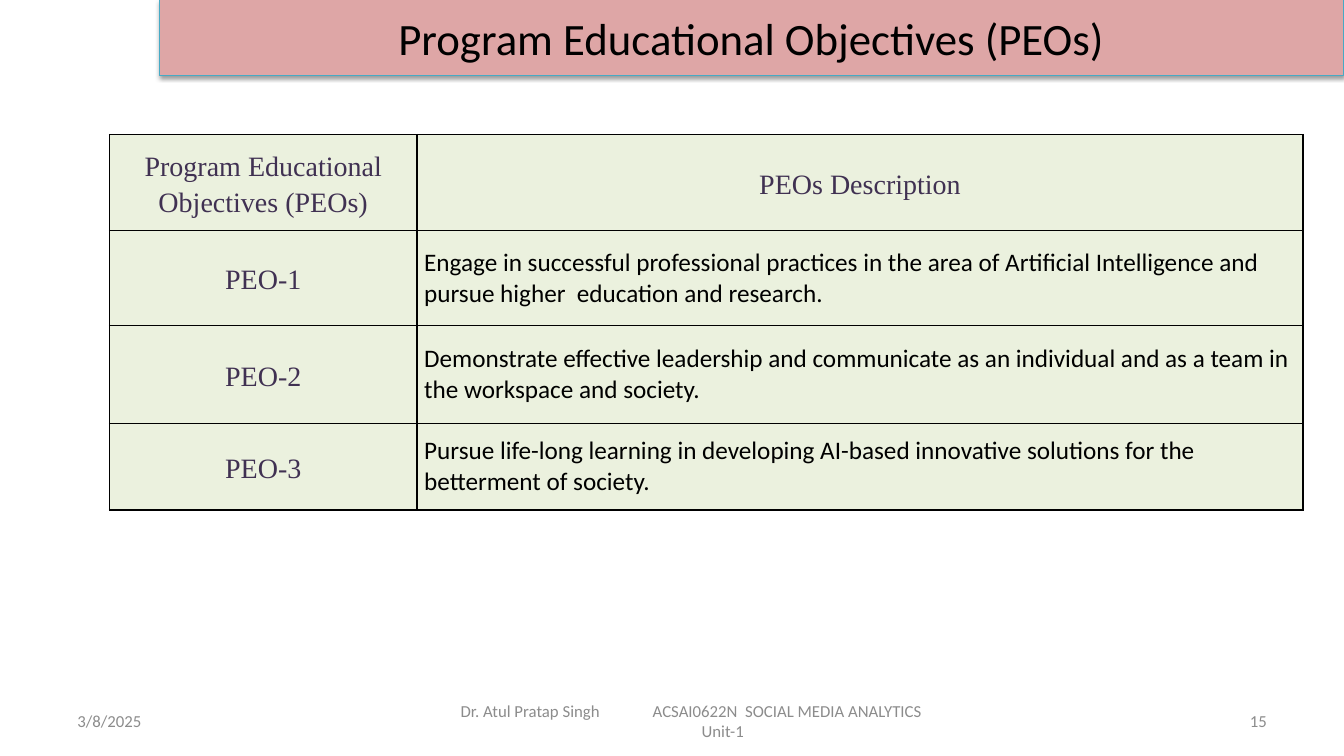
import pptx
import pptx.dml.color
import pptx.enum.shapes
import pptx.enum.text
import pptx.oxml
import pptx.oxml.ns
import pptx.util
from pptx.dml.color import RGBColor
from pptx.util import Cm

BLACK = RGBColor(0x00, 0x00, 0x00)
GREY = RGBColor(0x8C, 0x8C, 0x8C)
PURPLE = RGBColor(0x40, 0x31, 0x52)
ROSE = RGBColor(0xDE, 0xA6, 0xA6)
TEAL = RGBColor(0x46, 0xAA, 0xC5)
PALE_GREEN = RGBColor(0xEB, 0xF1, 0xDE)

ALIGN = pptx.enum.text.PP_ALIGN
MIDDLE = pptx.enum.text.MSO_ANCHOR.MIDDLE
NAMESPACE = pptx.oxml.ns.nsdecls("a")

COLUMN_WIDTHS = (7.75, 22.33)
ROW_HEIGHTS = (2.41, 2.41, 2.46, 2.18)
ROWS = (
    ("Program Educational Objectives (PEOs)", "PEOs Description"),
    ("PEO-1", "Engage in successful professional practices in the area of "
              "Artificial Intelligence and pursue higher  education and research."),
    ("PEO-2", "Demonstrate effective leadership and communicate as an individual "
              "and as a team in the workspace and society."),
    ("PEO-3", "Pursue life-long learning in developing AI-based innovative "
              "solutions for the betterment of society."),
)


def write_text(para, text, size=12, font="Calibri", color=GREY,
               align=ALIGN.LEFT, spacing=None):
    para.alignment = align
    if spacing:
        para.line_spacing = spacing
    span = para.add_run()
    span.text = text
    span.font.size = pptx.util.Pt(size)
    span.font.name = font
    span.font.color.rgb = color


def add_title_bar(page, text):
    bar = page.shapes.add_shape(pptx.enum.shapes.MSO_SHAPE.RECTANGLE,
                                Cm(4.01), Cm(0), Cm(29.85), Cm(1.91))
    bar.fill.solid()
    bar.fill.fore_color.rgb = ROSE
    bar.line.color.rgb = TEAL
    bar.line.width = pptx.util.Pt(0.75)
    # Soft shadow below the bar
    bar.shadow.inherit = False
    effects = bar._element.spPr.find(pptx.oxml.ns.qn("a:effectLst"))
    effects.append(pptx.oxml.parse_xml(
        f'<a:outerShdw {NAMESPACE} blurRad="40000" dist="20000" dir="5400000" '
        'rotWithShape="0"><a:srgbClr val="000000"><a:alpha val="38000"/>'
        '</a:srgbClr></a:outerShdw>'))
    bar.text_frame.vertical_anchor = MIDDLE
    write_text(bar.text_frame.paragraphs[0], text, size=32, color=BLACK,
               align=ALIGN.CENTER)


def add_borders(cell):
    properties = cell._tc.get_or_add_tcPr()
    for side in ("lnL", "lnR", "lnT", "lnB"):
        properties.append(pptx.oxml.parse_xml(
            f'<a:{side} {NAMESPACE} w="12700"><a:solidFill>'
            f'<a:srgbClr val="{BLACK}"/></a:solidFill></a:{side}>'))


def format_cell(cell):
    add_borders(cell)
    cell.fill.solid()
    cell.fill.fore_color.rgb = PALE_GREEN
    cell.vertical_anchor = MIDDLE
    cell.margin_left = cell.margin_right = Cm(0.18)
    cell.margin_top = cell.margin_bottom = Cm(0)


def add_objectives_table(page):
    table = page.shapes.add_table(
        len(ROWS), len(COLUMN_WIDTHS), Cm(2.76), Cm(3.39),
        Cm(sum(COLUMN_WIDTHS)), Cm(sum(ROW_HEIGHTS))).table
    table.first_row = table.horz_banding = False
    for column, width in zip(table.columns, COLUMN_WIDTHS):
        column.width = Cm(width)
    for row, height in zip(table.rows, ROW_HEIGHTS):
        row.height = Cm(height)
    for row_index, texts in enumerate(ROWS):
        for column_index, text in enumerate(texts):
            cell = table.cell(row_index, column_index)
            format_cell(cell)
            para = cell.text_frame.paragraphs[0]
            if row_index == 0 or column_index == 0:
                write_text(para, text, size=20, font="Times New Roman",
                           color=PURPLE, align=ALIGN.CENTER, spacing=1.15)
            else:
                write_text(para, text, size=18, color=BLACK)


def add_footer_box(page, left, width, inset=0.25):
    box = page.shapes.add_textbox(Cm(left), Cm(17.65), Cm(width), Cm(1.02))
    frame = box.text_frame
    frame.word_wrap = True
    frame.vertical_anchor = MIDDLE
    frame.margin_left = frame.margin_right = Cm(inset)
    return frame


def add_footer(page):
    date = add_footer_box(page, 1.7, 7.9)
    write_text(date.paragraphs[0], "3/8/2025")

    # Lecturer and course on one line, set apart by a tab stop
    course = add_footer_box(page, 11.23, 13.97, inset=0.38)
    first_line = course.paragraphs[0]
    first_line._p.get_or_add_pPr().append(pptx.oxml.parse_xml(
        f'<a:tabLst {NAMESPACE}><a:tab pos="{Cm(4.84)}" algn="l"/></a:tabLst>'))
    write_text(first_line,
               "Dr. Atul Pratap Singh\tACSAI0622N  SOCIAL MEDIA ANALYTICS")
    write_text(course.add_paragraph(), "Unit-1", align=ALIGN.CENTER)

    number = add_footer_box(page, 24.28, 7.9)
    write_text(number.paragraphs[0], "15", align=ALIGN.RIGHT)


def main():
    deck = pptx.Presentation()
    deck.slide_width, deck.slide_height = Cm(33.87), Cm(19.05)
    page = deck.slides.add_slide(deck.slide_layouts[6])
    add_footer(page)
    add_title_bar(page, "Program Educational Objectives (PEOs)")
    add_objectives_table(page)
    deck.save("out.pptx")


if __name__ == "__main__":
    main()
